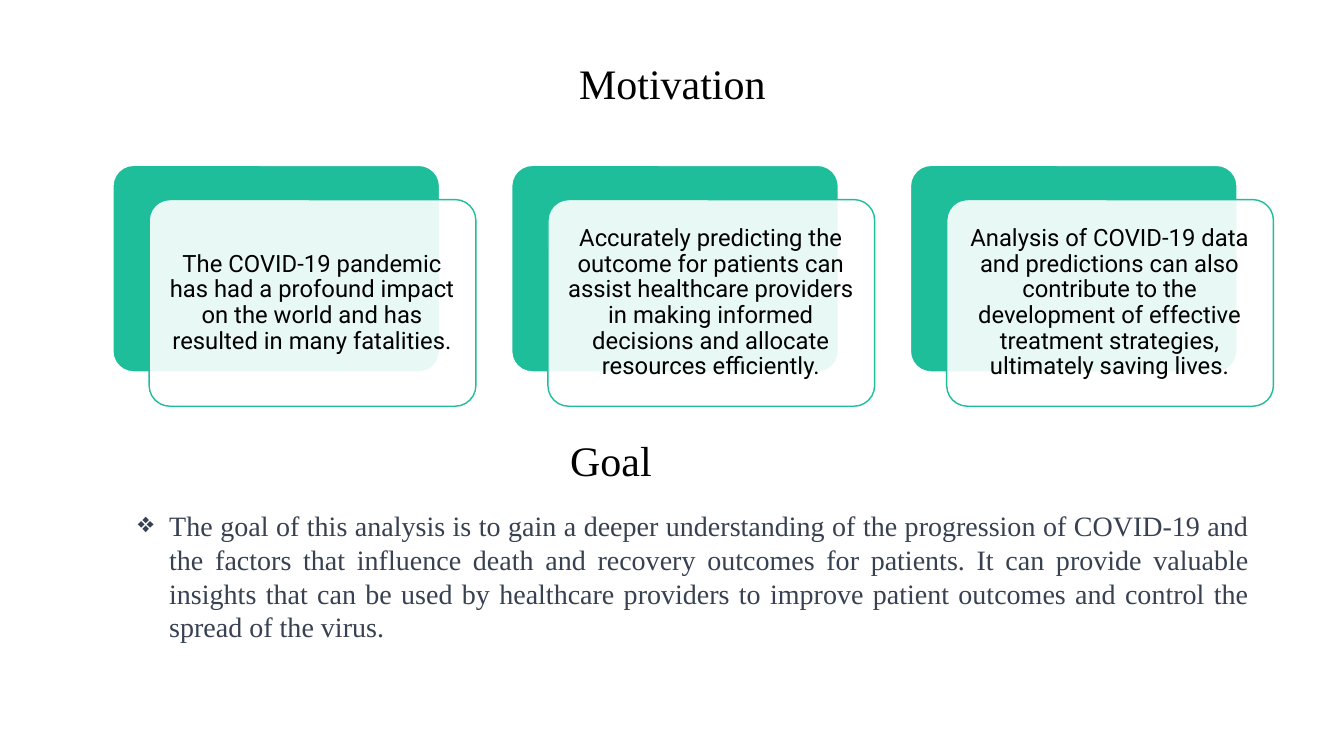
from lxml import etree
from pptx import Presentation
from pptx.dml.color import RGBColor
from pptx.enum.shapes import MSO_SHAPE
from pptx.enum.text import MSO_ANCHOR, PP_ALIGN
from pptx.oxml.ns import qn
from pptx.util import Inches, Pt

ROUND = MSO_SHAPE.ROUNDED_RECTANGLE
TOP, MIDDLE = MSO_ANCHOR.TOP, MSO_ANCHOR.MIDDLE
CENTER, JUSTIFY = PP_ALIGN.CENTER, PP_ALIGN.JUSTIFY
COLORS = {"green": "1EBE9B", "white": "FFFFFF", "black": "000000", "slate": "374151"}
SERIF, SANS = "Times New Roman", "Roboto"

deck = Presentation()
deck.slide_width, deck.slide_height = Inches(13.33), Inches(7.5)
slide = deck.slides.add_slide(deck.slide_layouts[6])


def add_text(text, left, top, width, height, size=30, font=SERIF, color="black",
             align=CENTER, anchor=TOP, inset=None, spacing=None):
    """Add a wrapped text box and return its paragraph."""
    box = slide.shapes.add_textbox(Inches(left), Inches(top), Inches(width), Inches(height))
    frame = box.text_frame
    frame.word_wrap = True
    frame.vertical_anchor = anchor
    if inset is not None:
        frame.margin_left = frame.margin_right = Inches(inset)
        frame.margin_top = frame.margin_bottom = Inches(inset)
    para = frame.paragraphs[0]
    para.alignment = align
    if spacing:
        para.line_spacing = spacing
    run = para.add_run()
    run.text = text
    run.font.name, run.font.size = font, Pt(size)
    run.font.color.rgb = RGBColor.from_string(COLORS[color])
    return para


def add_card(left, top, fill, line):
    card = slide.shapes.add_shape(ROUND, Inches(left), Inches(top), Inches(3.24), Inches(2.05))
    card.adjustments[0] = 0.1
    card.shadow.inherit = False
    card.fill.solid()
    card.fill.fore_color.rgb = RGBColor.from_string(COLORS[fill])
    card.line.color.rgb = RGBColor.from_string(COLORS[line])
    card.line.width = Pt(1)
    return card


# Headings and goal
add_text("Motivation", 2.24, 0.52, 8.86, 0.61)
add_text("Goal", 4.51, 4.26, 3.1, 0.61)
goal = add_text(
    "The goal of this analysis is to gain a deeper understanding of the progression of "
    "COVID-19 and the factors that influence death and recovery outcomes for patients. "
    "It can provide valuable insights that can be used by healthcare providers to improve "
    "patient outcomes and control the spread of the virus.",
    1.27, 5, 11.22, 1.75, size=20, color="slate", align=JUSTIFY)
props = goal._p.get_or_add_pPr()
props.set("marL", str(Inches(0.31)))
props.set("indent", str(-Inches(0.31)))
etree.SubElement(props, qn("a:buChar")).set("char", "❖")

# Motivation cards
reasons = [
    "The COVID-19 pandemic has had a profound impact on the world and has resulted in "
    "many fatalities.",
    "Accurately predicting the outcome for patients can assist healthcare providers in "
    "making informed decisions and allocate resources efficiently.",
    "Analysis of COVID-19 data and predictions can also contribute to the development of "
    "effective treatment strategies, ultimately saving lives.",
]
for i, reason in enumerate(reasons):
    left = 1.12 + i * 3.955
    add_card(left, 1.64, "green", "white")
    front = add_card(left + 0.36, 1.98, "white", "green")
    shade = front.fill._xPr.find(qn("a:solidFill"))[0]
    etree.SubElement(shade, qn("a:alpha")).set("val", "90000")
    add_text(reason, left + 0.42, 2.04, 3.11, 1.93, size=17, font=SANS,
             anchor=MIDDLE, inset=0.07, spacing=0.9)

deck.save("out.pptx")
